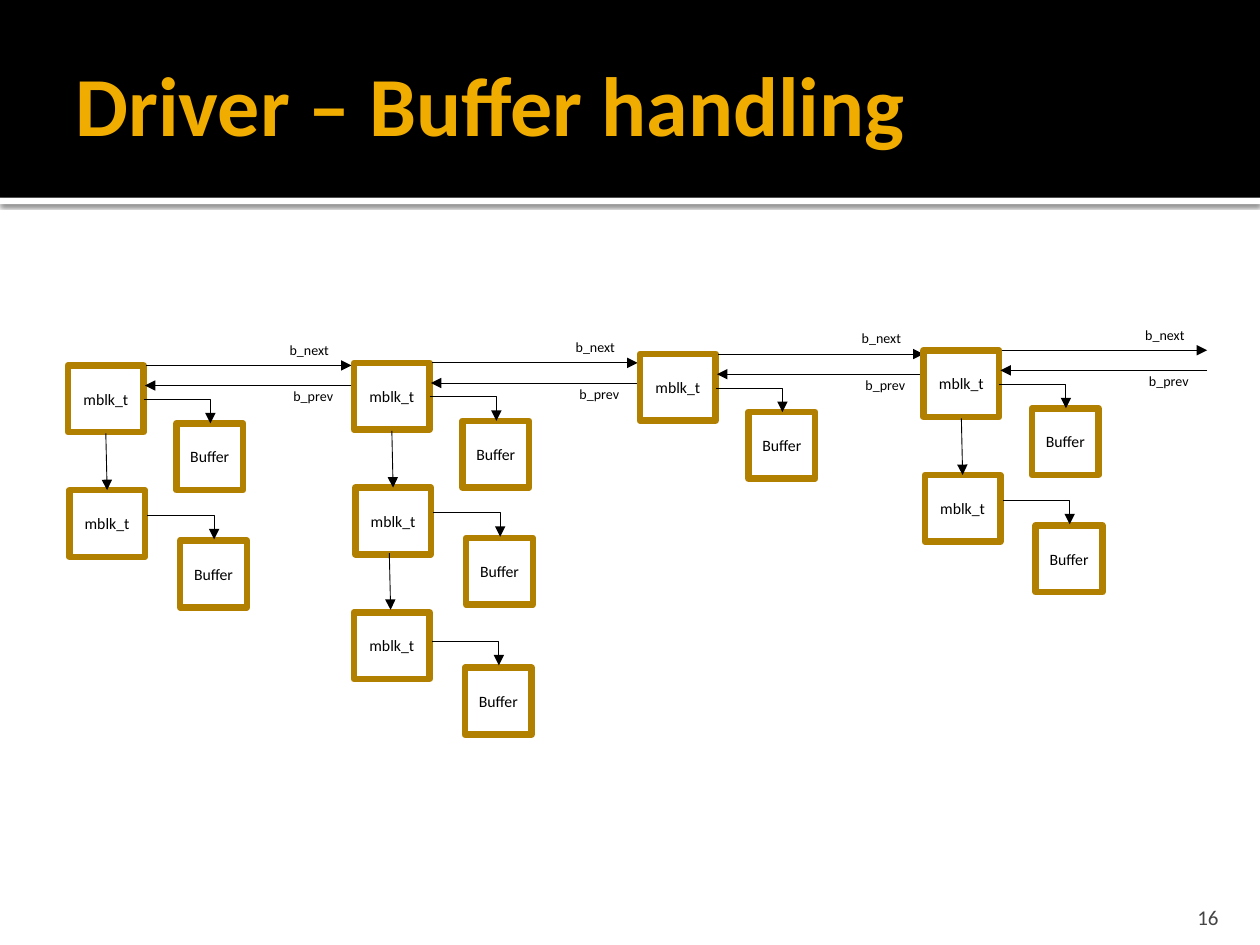
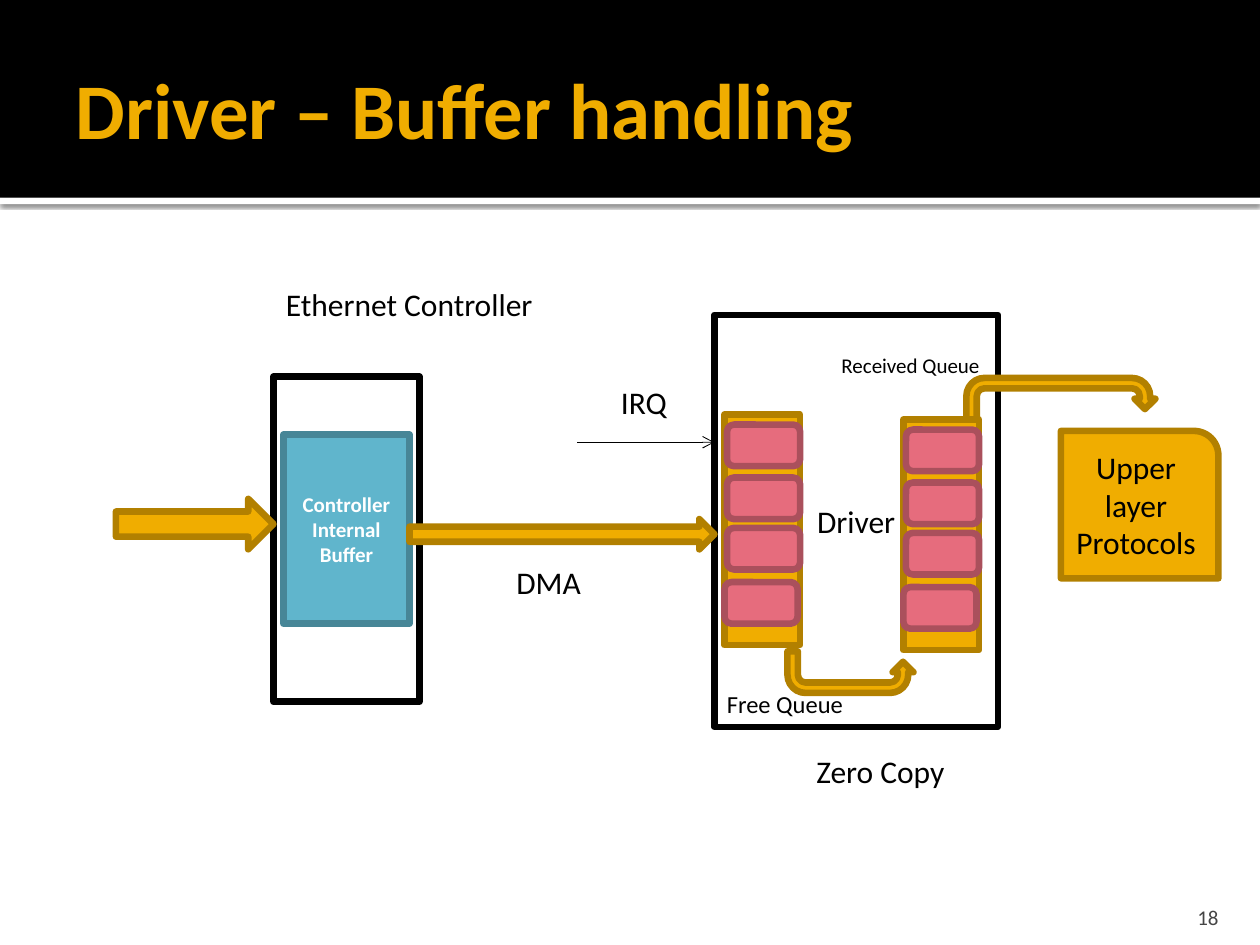
from lxml import etree
from pptx import Presentation
from pptx import util as u
from pptx.dml.color import RGBColor
from pptx.enum import shapes, text
from pptx.oxml.ns import qn

FONT = "Calibri"
BLACK, WHITE, GREY = "000000", "FFFFFF", "454545"
AMBER, OCHRE = "F0AD00", "B28000"
BLUE, DARK_BLUE = "60B5CC", "478697"
PINK, DARK_PINK = "E66C7D", "AA505C"
THICK, THIN = 3.78, 0.5
SHAPE = shapes.MSO_SHAPE
LEFT, CENTER, RIGHT = text.PP_ALIGN.LEFT, text.PP_ALIGN.CENTER, text.PP_ALIGN.RIGHT

# Message chains: head corner and number of linked blocks
CHAINS = [(0.54, 2.9, 2), (2.81, 2.88, 3), (5.08, 2.81, 1), (7.33, 2.78, 2)]
# Offsets from the chain head: block, its buffer, start of the buffer arrow
LEVELS = [((0, 0), (0.86, 0.46), (0.6, 0.27)),
          ((0.01, 0.99), (0.89, 1.39), (0.63, 1.19)),
          ((0, 1.98), (0.88, 2.42), (0.62, 2.21))]
# Offsets of the arrows that lead from one block down to the next
DOWN_STARTS = [(0.3, 0.54), (0.28, 1.51)]
# Offsets of the cells inside a queue
CELLS = [(0.02, 0.08), (0.02, 0.5), (0.02, 0.9), (0, 1.33)]


def color(hex_value):
    return RGBColor.from_string(hex_value)


def inches(values):
    return [u.Inches(value) for value in values]


def write(frame, words, size, hex_value=BLACK, bold=False, align=LEFT):
    para = frame.paragraphs[0]
    para.alignment = align
    span = para.add_run()
    span.text = words
    span.font.name = FONT
    span.font.size = u.Pt(size)
    span.font.bold = bold
    span.font.color.rgb = color(hex_value)
    return para


def add_box(page, kind, at, fill=None, line=None, words="", size=18,
            ink=BLACK, bold=False):
    box = page.shapes.add_shape(kind, *inches(at))
    box.shadow.inherit = False
    if fill:
        box.fill.solid()
        box.fill.fore_color.rgb = color(fill)
    else:
        box.fill.background()
    if line:
        box.line.color.rgb = color(line)
        box.line.width = u.Pt(THICK)
    else:
        box.line.fill.background()
    if words:
        write(box.text_frame, words, size, ink, bold, CENTER)
    return box


def add_label(page, at, words, size, wrap=False):
    box = page.shapes.add_textbox(*inches(at))
    box.text_frame.word_wrap = wrap
    box.text_frame.auto_size = text.MSO_AUTO_SIZE.SHAPE_TO_FIT_TEXT
    write(box.text_frame, words, size)


def add_arrow(page, start, end, bent=False, head="triangle"):
    kind = shapes.MSO_CONNECTOR.ELBOW if bent else shapes.MSO_CONNECTOR.STRAIGHT
    arrow = page.shapes.add_connector(kind, *inches(start + end))
    arrow.line.color.rgb = color(BLACK)
    arrow.line.width = u.Pt(THIN)
    properties = arrow._element.spPr
    if bent:
        properties.find(qn("a:prstGeom")).set("prst", "bentConnector2")
    etree.SubElement(properties.find(qn("a:ln")), qn("a:tailEnd"), type=head)
    etree.SubElement(properties, qn("a:effectLst"))


def add_bands(deck, page):
    """Draw the title bands and hand them over to the slide master."""
    stripe = add_box(page, SHAPE.RECTANGLE, (0, 1.57, 10, 0.05), WHITE)
    effects = stripe._element.spPr.find(qn("a:effectLst"))
    shadow = etree.SubElement(effects, qn("a:outerShdw"), blurRad=str(u.Pt(2.5)),
                              dist=str(u.Pt(0.8)), dir="5400000", rotWithShape="0")
    tint = etree.SubElement(shadow, qn("a:srgbClr"), val=BLACK)
    etree.SubElement(tint, qn("a:alpha"), val="60000")
    band = add_box(page, SHAPE.RECTANGLE, (0, 0, 10, 1.57), BLACK)
    tree = deck.slide_master.shapes._spTree
    for place, box in enumerate((stripe, band)):
        box._element.nvSpPr.cNvPr.set("id", str(50 + place))
        tree.insert(2 + place, box._element)


def add_title(page, words, size, spacing):
    title = page.shapes.title
    title.left, title.top, title.width, title.height = inches((0.5, 0.17, 9, 1.37))
    frame = title.text_frame
    frame.auto_size = text.MSO_AUTO_SIZE.NONE
    frame.word_wrap = True
    frame.vertical_anchor = text.MSO_ANCHOR.MIDDLE
    frame.margin_left = u.Inches(0.1)
    frame.margin_top = frame.margin_right = frame.margin_bottom = u.Inches(0.05)
    write(frame, words, size, AMBER, True).line_spacing = spacing


def add_number(page, number):
    frame = page.shapes.add_textbox(*inches((8.97, 7.08, 0.8, 0.3))).text_frame
    frame.word_wrap = True
    frame.vertical_anchor = text.MSO_ANCHOR.BOTTOM
    frame.margin_bottom = 0
    write(frame, str(number), 12, GREY, align=RIGHT)


def add_page(deck, number, title_size, title_spacing):
    page = deck.slides.add_slide(deck.slide_layouts[5])
    add_title(page, "Driver – Buffer handling", title_size, title_spacing)
    add_number(page, number)
    return page


def add_chain(page, x, y, count):
    def at(dx, dy):
        return x + dx, y + dy

    # Blocks with their buffers
    for block, buffer, start in LEVELS[:count]:
        add_box(page, SHAPE.RECTANGLE, at(*block) + (0.6, 0.53), WHITE, OCHRE,
                "mblk_t", 9)
        add_box(page, SHAPE.RECTANGLE, at(*buffer) + (0.53, 0.53), WHITE, OCHRE,
                "Buffer", 9)
        dx, dy = start
        add_arrow(page, at(dx, dy), at(dx + 0.53, dy + 0.19), bent=True)
    for dx, dy in DOWN_STARTS[:count - 1]:
        add_arrow(page, at(dx, dy), at(dx + 0.01, dy + 0.45))
    # Links to and from the next chain
    add_arrow(page, at(0.62, 0), at(2.25, 0))
    add_arrow(page, at(2.25, 0.16), at(0.61, 0.16))
    add_label(page, at(1.66, -0.24) + (0.52, 0.24), "b_next", 8)
    add_label(page, at(1.69, 0.13) + (0.52, 0.24), "b_prev", 8)


def add_queue(page, x, y):
    add_box(page, SHAPE.RECTANGLE, (x, y, 0.6, 1.83), AMBER, OCHRE)
    for dx, dy in CELLS:
        add_box(page, SHAPE.ROUNDED_RECTANGLE, (x + dx, y + dy, 0.58, 0.33),
                PINK, DARK_PINK)


def draw_data_path(page):
    # Driver and controller
    add_box(page, SHAPE.RECTANGLE, (5.67, 2.5, 2.25, 3.27), WHITE, BLACK, "Driver")
    add_box(page, SHAPE.RECTANGLE, (2.17, 2.99, 1.16, 2.58), line=BLACK)
    add_box(page, SHAPE.RECTANGLE, (2.25, 3.45, 1, 1.5), BLUE, DARK_BLUE,
            "Controller Internal Buffer", 12, WHITE, True)
    add_queue(page, 5.75, 3.29)
    # Incoming data, interrupt and transfer
    add_box(page, SHAPE.RIGHT_ARROW, (0.92, 3.96, 1.25, 0.4), AMBER, OCHRE)
    add_arrow(page, (4.58, 3.51), (5.67, 3.51), head="arrow")
    add_box(page, SHAPE.RIGHT_ARROW, (3.25, 4.12, 2.42, 0.24), AMBER, OCHRE)
    add_queue(page, 7.17, 3.33)
    # Labels
    add_label(page, (4.83, 2.99, 0.6, 0.4), "IRQ", 18)
    add_label(page, (2.17, 2.21, 2.32, 0.4), "Ethernet Controller ", 18)
    add_label(page, (4, 4.42, 0.74, 0.4), "DMA", 18)
    add_label(page, (5.67, 5.42, 1.14, 0.34), "Free Queue", 14)
    add_label(page, (6.58, 2.75, 1.32, 0.3), "Received Queue", 12, wrap=True)
    add_label(page, (6.38, 5.92, 1.32, 0.4), "Zero Copy ", 18)
    # Hand-over to the protocols and between the queues
    add_box(page, SHAPE.ROUND_1_RECTANGLE, (8.42, 3.42, 1.25, 1.17), AMBER, OCHRE,
            "Upper layer Protocols")
    add_box(page, SHAPE.U_TURN_ARROW, (7.67, 3, 1.5, 0.33), AMBER, OCHRE)
    refill = add_box(page, SHAPE.U_TURN_ARROW, (6.25, 5.17, 1, 0.33), AMBER, OCHRE)
    refill._element.spPr.find(qn("a:xfrm")).set("flipV", "1")


def main():
    deck = Presentation()
    deck.slide_width, deck.slide_height = inches((10, 7.5))

    chains_page = add_page(deck, 16, 48, 0.95)
    add_bands(deck, chains_page)
    for x, y, count in CHAINS:
        add_chain(chains_page, x, y, count)

    draw_data_path(add_page(deck, 18, 45, 1.0))
    deck.save("out.pptx")


main()
